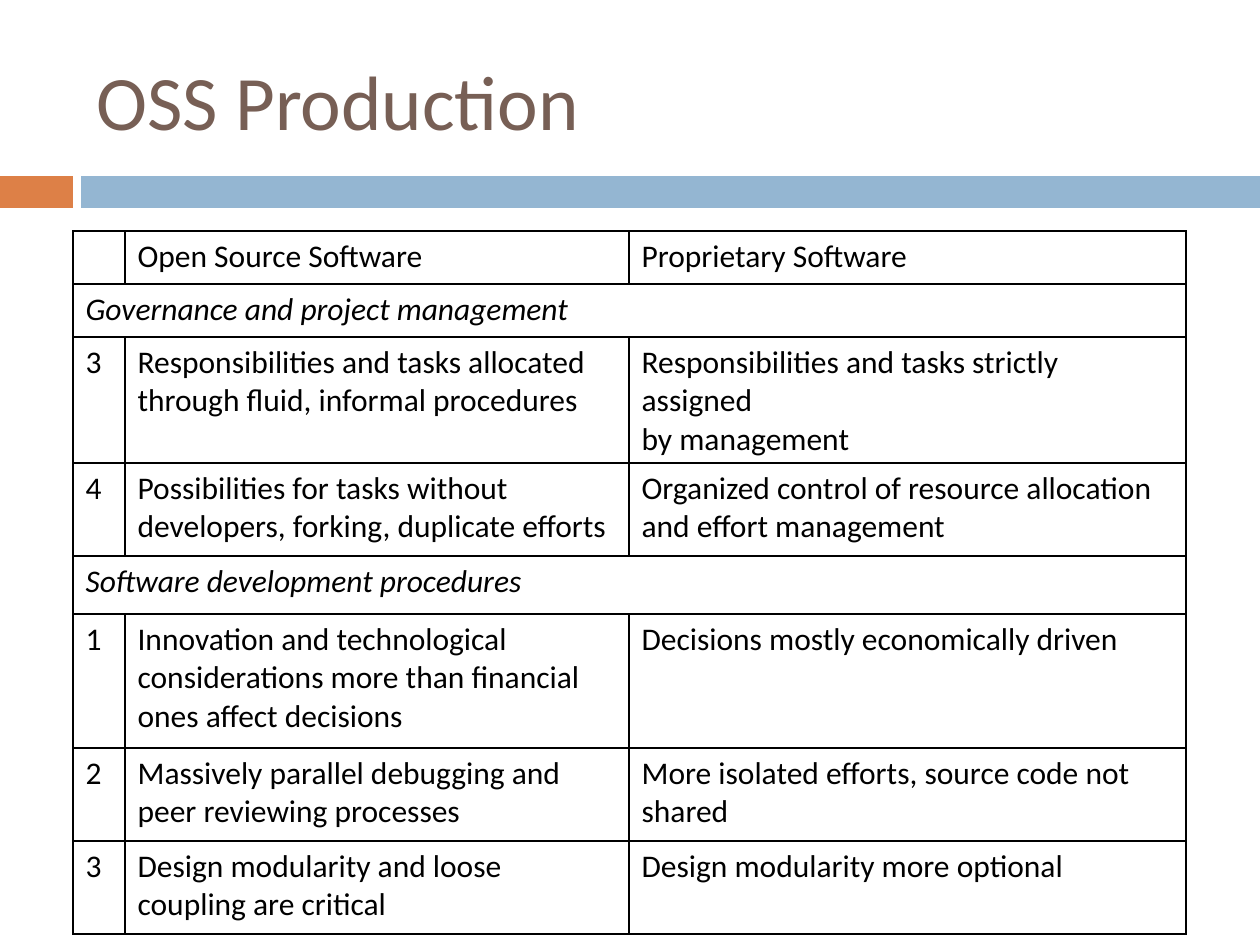
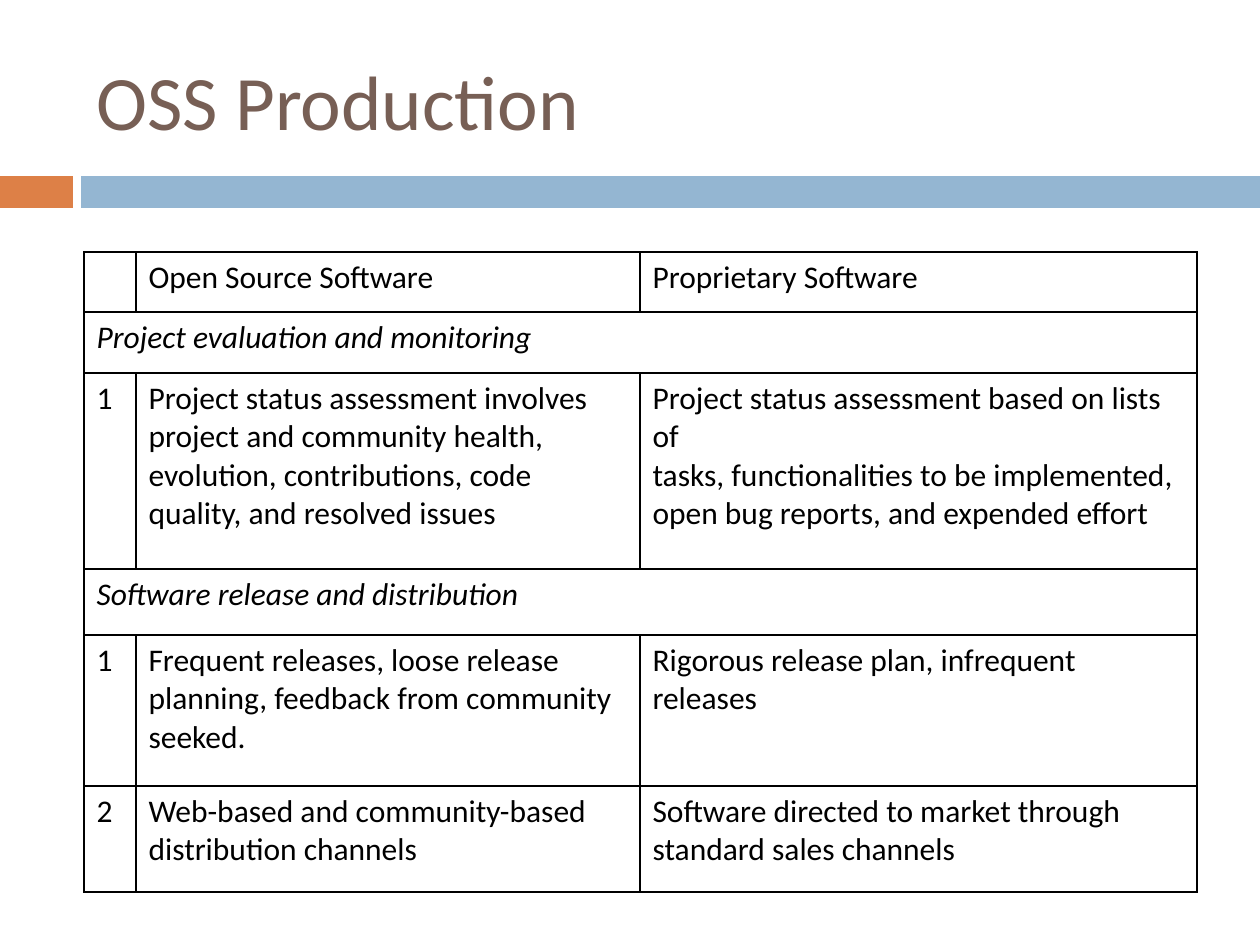
from lxml import etree
from pptx import Presentation
from pptx.dml.color import RGBColor
from pptx.enum import shapes, text
from pptx.oxml import ns
from pptx.util import Pt

PX = 914400 / 126
SLIDE = (1260, 945)
TITLE_BOX = (84, 32, 1124, 136)
BAND_BOX = (0, 176, 1260, 32)
BAND_SPLIT, BAND_GAP = 73, 8
COLS = (52, 504, 557)
ORANGE, BLUE, BROWN = "DD8047", "94B6D2", "775F55"
BLACK, WHITE = "000000", "FFFFFF"
TITLE_FONT = {"name": "Calibri", "size": Pt(44), "color": BROWN}
CELL_FONT = {"name": "Calibri", "size": Pt(18), "color": BLACK}
HEADER = ("", "Open Source Software", "Proprietary Software")

GOVERNANCE = [
    (53, HEADER),
    (53, ("Governance and project management",)),
    (93, ("3", "Responsibilities and tasks allocated\nthrough fluid, informal procedures",
          "Responsibilities and tasks strictly assigned\nby management")),
    (93, ("4", "Possibilities for tasks without developers, forking, duplicate efforts",
          "Organized control of resource allocation\nand effort management")),
    (58, ("Software development procedures",)),
    (134, ("1", "Innovation and technological considerations more than financial ones "
           "affect decisions", "Decisions mostly economically driven")),
    (93, ("2", "Massively parallel debugging and peer reviewing processes",
          "More isolated efforts, source code not\nshared")),
    (93, ("3", "Design modularity and loose coupling are critical",
          "Design modularity more optional")),
]
EVALUATION = [
    (60, HEADER),
    (61, ("Project evaluation and monitoring",)),
    (196, ("1", "Project status assessment involves project and community health, "
           "evolution, contributions, code quality, and resolved issues",
           "Project status assessment based on lists of\n"
           "tasks, functionalities to be implemented,\n"
           "open bug reports, and expended effort")),
    (66, ("Software release and distribution",)),
    (151, ("1", "Frequent releases, loose release planning, feedback from community seeked.",
           "Rigorous release plan, infrequent releases")),
    (106, ("2", "Web-based and community-based\ndistribution channels",
           "Software directed to market through\nstandard sales channels")),
]


def emu(*px):
    """Convert pixel lengths to a list of EMU."""
    return [round(v * PX) for v in px]


def rgb(value):
    """Turn a hex string into a colour."""
    return RGBColor.from_string(value)


def write(tf, content, **font):
    """Write one paragraph per line with the given font values."""
    tf.text = content
    for p in tf.paragraphs:
        for r in p.runs:
            for key, value in font.items():
                if key == "color":
                    r.font.color.rgb = rgb(value)
                else:
                    setattr(r.font, key, value)


def add_title(s, box, content):
    """Add the slide title, centred vertically in its box."""
    tf = s.shapes.add_textbox(*emu(*box)).text_frame
    tf.word_wrap = True
    tf.vertical_anchor = text.MSO_ANCHOR.MIDDLE
    write(tf, content, **TITLE_FONT)


def add_band(s, box):
    """Add the two-part band below the title."""
    x, y, w, h = box
    start = BAND_SPLIT + BAND_GAP
    for left, width, color in ((x, BAND_SPLIT, ORANGE), (x + start, w - start, BLUE)):
        sp = s.shapes.add_shape(shapes.MSO_SHAPE.RECTANGLE, *emu(left, y, width, h))
        sp.shadow.inherit = False
        sp.fill.solid()
        sp.fill.fore_color.rgb = rgb(color)
        sp.line.fill.background()


def format_cell(cell):
    """Give a cell thin black borders and a white fill."""
    tc_pr = cell._tc.get_or_add_tcPr()
    for side in ("a:lnL", "a:lnR", "a:lnT", "a:lnB"):
        ln = etree.SubElement(tc_pr, ns.qn(side), w=str(Pt(1)))
        fill = etree.SubElement(ln, ns.qn("a:solidFill"))
        etree.SubElement(fill, ns.qn("a:srgbClr"), val=BLACK)
    cell.fill.solid()
    cell.fill.fore_color.rgb = rgb(WHITE)


def add_comparison(s, origin, rows):
    """Add the comparison table; a row with one text spans all columns."""
    size = (sum(COLS), sum(height for height, _ in rows))
    table = s.shapes.add_table(len(rows), len(COLS), *emu(*origin, *size)).table
    table.first_row = table.horz_banding = False
    for column, width in zip(table.columns, emu(*COLS)):
        column.width = width
    for i, (height, texts) in enumerate(rows):
        table.rows[i].height = emu(height)[0]
        for j in range(len(COLS)):
            format_cell(table.cell(i, j))
        section = len(texts) == 1
        if section:
            table.cell(i, 0).merge(table.cell(i, len(COLS) - 1))
        for j, content in enumerate(texts):
            write(table.cell(i, j).text_frame, content, italic=section, **CELL_FONT)


def add_slide(prs, origin, rows):
    """Add one slide with title, band and comparison table."""
    s = prs.slides.add_slide(prs.slide_layouts[6])
    add_band(s, BAND_BOX)
    add_title(s, TITLE_BOX, "OSS Production")
    add_comparison(s, origin, rows)


def main():
    """Build and save the presentation."""
    prs = Presentation()
    prs.slide_width, prs.slide_height = emu(*SLIDE)
    add_slide(prs, (73, 231), GOVERNANCE)
    add_slide(prs, (84, 252), EVALUATION)
    prs.save("out.pptx")


if __name__ == "__main__":
    main()
